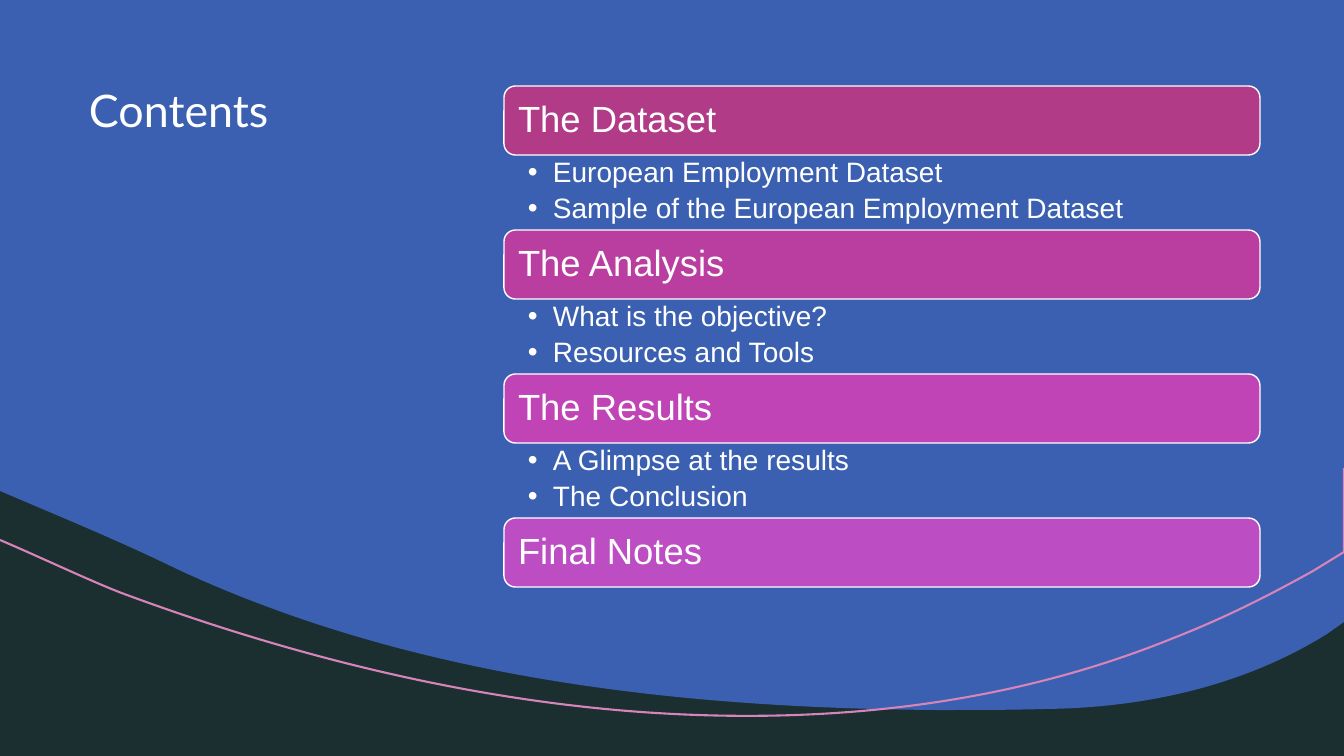
from dataclasses import dataclass

import pptx
import pptx.dml.color
import pptx.enum.shapes
import pptx.enum.text
import pptx.oxml
import pptx.oxml.ns
import pptx.shapes.autoshape
import pptx.slide
import pptx.text.text
import pptx.util

SCALE = 914400 / 100.8
SLIDE_WIDTH, SLIDE_HEIGHT = 1344, 756
BACKDROP, WAVE_BLUE, RIBBON_PINK, WHITE = "1B2F30", "3B60B1", "D684B9", "FFFFFF"
SECTION_LEFT, SECTION_TOP, SECTION_WIDTH = 504, 86, 756
SECTION_PITCH, BAR_HEIGHT = 144, 69
DRAWING = pptx.oxml.ns.nsdecls("a")

Point = tuple[int, int]
Segment = tuple[Point, ...]


@dataclass(frozen=True)
class Section:
    heading: str
    color: str
    topics: tuple[str, ...] = ()


SECTIONS = (
    Section("The Dataset", "B13B87",
            ("European Employment Dataset", "Sample of the European Employment Dataset")),
    Section("The Analysis", "BA3E9F", ("What is the objective?", "Resources and Tools")),
    Section("The Results", "C044B6", ("A Glimpse at the results", "The Conclusion")),
    Section("Final Notes", "BC4DC3"),
)

WAVE: tuple[Segment, ...] = (
    ((1344, 0),), ((1344, 622),), ((1327, 634),),
    ((1242, 687), (1142, 708), (1045, 709)),
    ((1010, 710), (974, 710), (937, 710)),
    ((682, 708), (417, 680), (179, 570)),
    ((136, 549), (92, 530), (47, 511)),
    ((0, 491),),
)
RIBBON: tuple[Segment, ...] = (
    ((1344, 552),), ((1313, 571),),
    ((1275, 592), (1230, 616), (1171, 639)),
    ((1010, 704), (834, 724), (656, 713)),
    ((478, 702), (298, 658), (127, 595)),
    ((99, 585), (40, 557), (0, 540)),
)


def px(length: float) -> pptx.util.Emu:
    return pptx.util.Emu(round(length * SCALE))


def rgb(color: str) -> pptx.dml.color.RGBColor:
    return pptx.dml.color.RGBColor.from_string(color)


def fill_plain(shape: pptx.shapes.autoshape.Shape, color: str) -> None:
    shape.shadow.inherit = False
    shape.fill.solid()
    shape.fill.fore_color.rgb = rgb(color)
    shape.line.fill.background()


def add_outline(slide: pptx.slide.Slide, start: Point, segments: tuple[Segment, ...],
                close: bool) -> pptx.shapes.autoshape.Shape:
    builder = slide.shapes.build_freeform(px(start[0]), px(start[1]))
    builder.add_line_segments([(px(x), px(y)) for segment in segments for x, y in segment],
                              close=close)
    outline = builder.convert_to_shape()
    steps = iter(outline._element.xpath(".//a:path/a:lnTo"))
    for segment in segments:
        group = [next(steps) for _ in segment]
        if len(group) == 3:
            curve = pptx.oxml.parse_xml(f"<a:cubicBezTo {DRAWING}/>")
            group[0].addprevious(curve)
            for step in group:
                curve.append(step[0])
                step.getparent().remove(step)
    return outline


def add_text(paragraph: pptx.text.text._Paragraph, text: str, font: str, size: int) -> None:
    paragraph.alignment = pptx.enum.text.PP_ALIGN.LEFT
    paragraph.line_spacing = 0.9
    run = paragraph.add_run()
    run.text = text
    run.font.name = font
    run.font.size = pptx.util.Pt(size)
    run.font.color.rgb = rgb(WHITE)


def set_insets(frame: pptx.text.text.TextFrame, left: int, top: int,
               right: int, bottom: int) -> None:
    frame.word_wrap = True
    frame.margin_left, frame.margin_top = px(left), px(top)
    frame.margin_right, frame.margin_bottom = px(right), px(bottom)


def add_bullet(paragraph: pptx.text.text._Paragraph) -> None:
    properties = paragraph._p.get_or_add_pPr()
    properties.set("marL", str(px(25)))
    properties.set("indent", str(px(-25)))
    for mark in ('buFont {} typeface="Arial"', 'buChar {} char="•"'):
        properties.append(pptx.oxml.parse_xml(f"<a:{mark.format(DRAWING)}/>"))


def add_section(slide: pptx.slide.Slide, section: Section, top: int) -> None:
    bar = slide.shapes.add_shape(pptx.enum.shapes.MSO_SHAPE.ROUNDED_RECTANGLE,
                                 px(SECTION_LEFT), px(top), px(SECTION_WIDTH), px(BAR_HEIGHT))
    fill_plain(bar, section.color)
    bar.line.color.rgb = rgb(WHITE)
    bar.line.width = pptx.util.Pt(1)

    heading = slide.shapes.add_textbox(px(SECTION_LEFT + 3), px(top + 3),
                                       px(SECTION_WIDTH - 6), px(BAR_HEIGHT - 6))
    set_insets(heading.text_frame, 11, 11, 11, 11)
    heading.text_frame.vertical_anchor = pptx.enum.text.MSO_ANCHOR.MIDDLE
    add_text(heading.text_frame.paragraphs[0], section.heading, "Arial", 26)
    if not section.topics:
        return

    topic_list = slide.shapes.add_textbox(px(SECTION_LEFT), px(top + BAR_HEIGHT),
                                          px(SECTION_WIDTH), px(SECTION_PITCH - BAR_HEIGHT))
    frame = topic_list.text_frame
    set_insets(frame, 24, 3, 20, 4)
    for index, topic in enumerate(section.topics):
        paragraph = frame.add_paragraph() if index else frame.paragraphs[0]
        add_text(paragraph, topic, "Arial", 20)
        paragraph.space_after = pptx.util.Pt(4.3)
        add_bullet(paragraph)


def main() -> None:
    deck = pptx.Presentation()
    deck.slide_width, deck.slide_height = px(SLIDE_WIDTH), px(SLIDE_HEIGHT)
    slide = deck.slides.add_slide(deck.slide_layouts[6])
    slide.background.fill.solid()
    slide.background.fill.fore_color.rgb = rgb(BACKDROP)

    backdrop = slide.shapes.add_shape(pptx.enum.shapes.MSO_SHAPE.RECTANGLE, 0, 0,
                                      px(SLIDE_WIDTH), px(SLIDE_HEIGHT))
    fill_plain(backdrop, BACKDROP)

    wave = add_outline(slide, (0, 0), WAVE, close=True)
    fill_plain(wave, WAVE_BLUE)

    ribbon = add_outline(slide, (1344, 468), RIBBON, close=False)
    ribbon.shadow.inherit = False
    ribbon.fill.background()
    ribbon.line.color.rgb = rgb(RIBBON_PINK)
    ribbon.line.width = pptx.util.Pt(1.5)

    title = slide.shapes.add_textbox(px(79), px(84), px(397), px(252))
    set_insets(title.text_frame, 10, 5, 10, 5)
    add_text(title.text_frame.paragraphs[0], "Contents", "Lato", 32)

    for index, section in enumerate(SECTIONS):
        add_section(slide, section, SECTION_TOP + index * SECTION_PITCH)

    deck.save("out.pptx")


if __name__ == "__main__":
    main()
